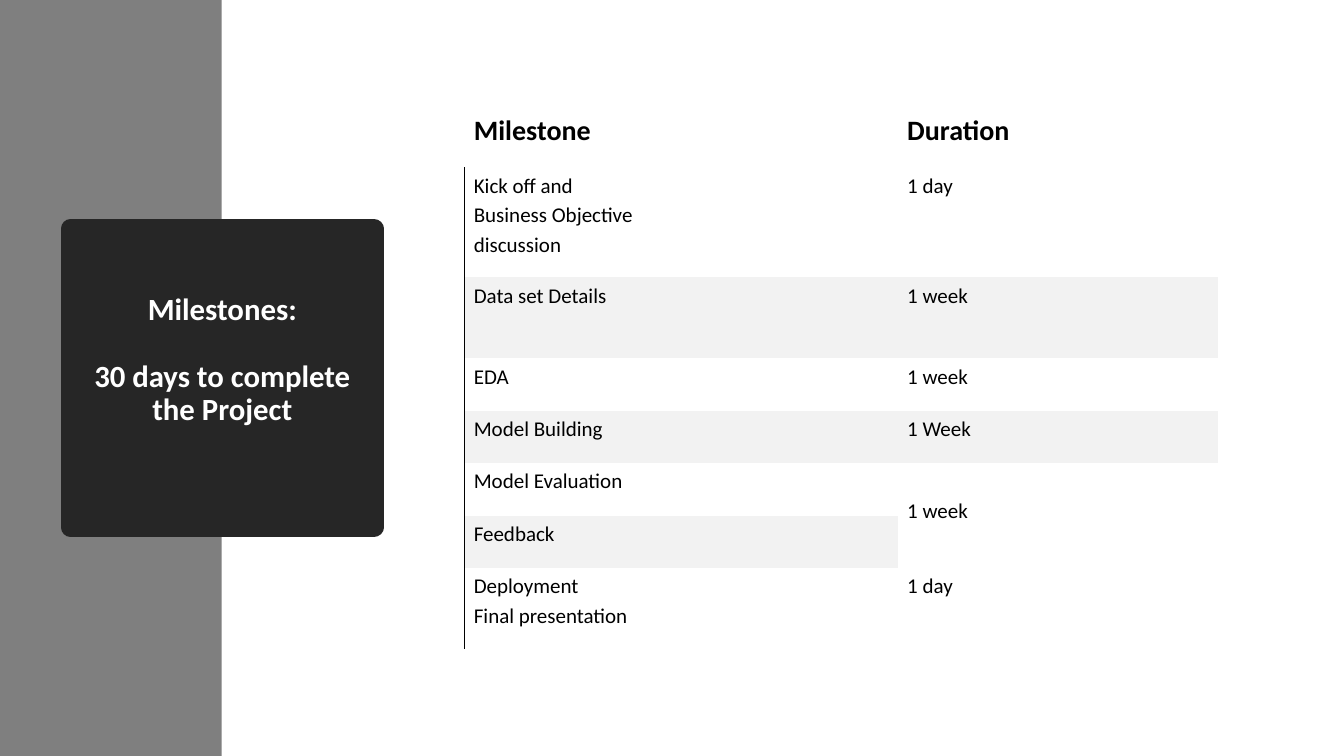
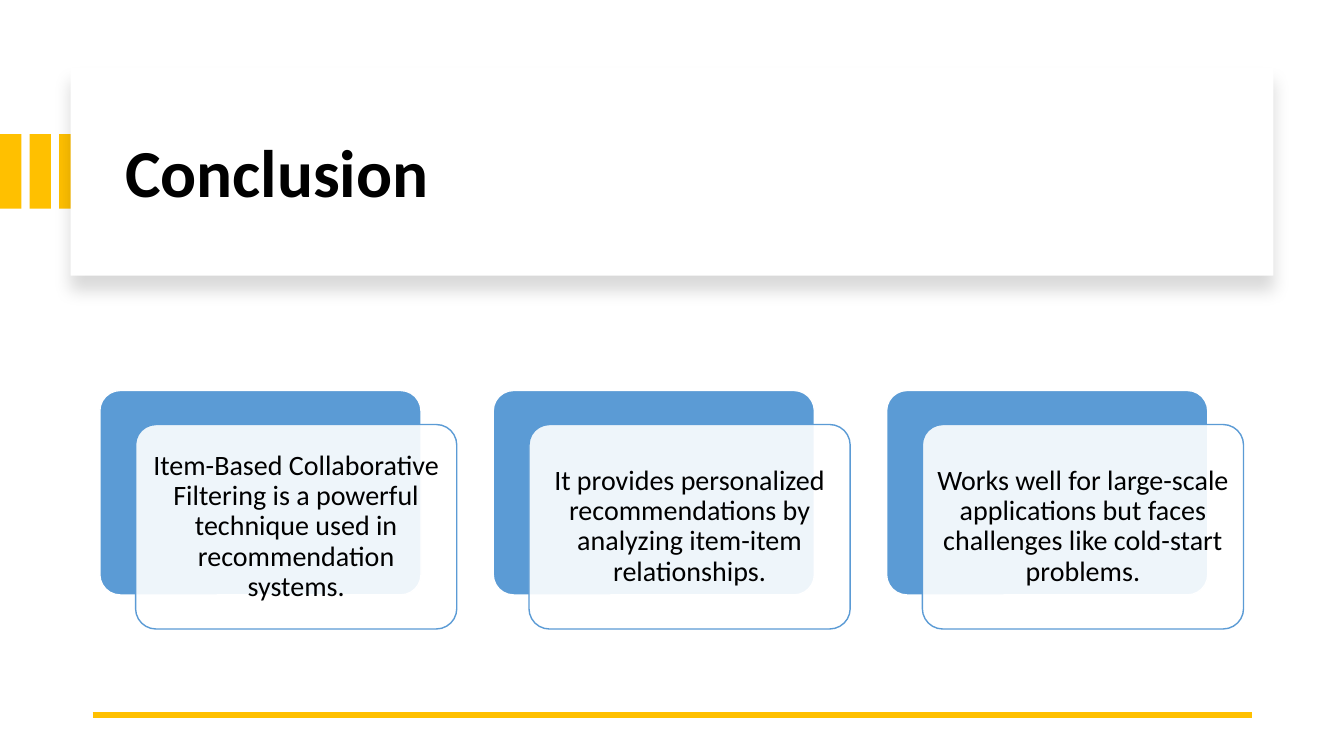
from dataclasses import dataclass

from lxml import etree
from pptx import Presentation
from pptx.dml.color import RGBColor
from pptx.enum.shapes import MSO_CONNECTOR, MSO_SHAPE
from pptx.enum.text import MSO_ANCHOR, MSO_AUTO_SIZE, PP_ALIGN
from pptx.oxml import parse_xml
from pptx.oxml.ns import nsdecls, qn
from pptx.util import Inches, Length, Pt

RECTANGLE = MSO_SHAPE.RECTANGLE
ROUNDED = MSO_SHAPE.ROUNDED_RECTANGLE
STRAIGHT = MSO_CONNECTOR.STRAIGHT
LEFT, CENTER = PP_ALIGN.LEFT, PP_ALIGN.CENTER
TOP, MIDDLE, BOTTOM = MSO_ANCHOR.TOP, MSO_ANCHOR.MIDDLE, MSO_ANCHOR.BOTTOM

SLIDE_WIDTH, SLIDE_HEIGHT = Inches(13.333), Inches(7.5)
TITLE_ONLY = 5
FONT = "Calibri"
BLACK, WHITE = "000000", "FFFFFF"
GRAY, CHARCOAL, BAND = "7F7F7F", "262626", "F2F2F2"
GOLD, BLUE = "FFC000", "5B9BD5"
NO_STYLE_TABLE = "{2D5ABB26-0587-4C30-8999-92F81FD0307C}"


def across(share: float) -> Length:
    """Length of a percentage of the slide's width."""
    return Length(round(SLIDE_WIDTH * share / 100))


def down(share: float) -> Length:
    """Length of a percentage of the slide's height."""
    return Length(round(SLIDE_HEIGHT * share / 100))


@dataclass(frozen=True)
class Box:
    """Place and size in percent of the slide's width and height."""
    left: float
    top: float
    width: float
    height: float

    def moved(self, right: float, below: float = 0) -> "Box":
        return Box(self.left + right, self.top + below, self.width, self.height)

    def lengths(self) -> tuple[Length, Length, Length, Length]:
        return (across(self.left), down(self.top),
                across(self.width), down(self.height))


@dataclass(frozen=True)
class TextStyle:
    size: float
    color: str = BLACK
    bold: bool = False
    align: PP_ALIGN = LEFT
    spacing: float = 0.9


@dataclass(frozen=True)
class Milestone:
    name: str
    duration: str
    height: float
    shaded: bool = False


CARD_TITLE = TextStyle(22, WHITE, True, CENTER)
PANEL_TITLE = TextStyle(48, bold=True)
CARD_TEXT = TextStyle(20, align=CENTER)
HEADER_TEXT = TextStyle(20, bold=True, spacing=1.15)
CELL_TEXT = TextStyle(15, spacing=1.15)

# Milestones slide
SIDE_BAND = Box(0, 0, 16.5, 100)
TITLE_CARD = Box(5.25, 30.27, 22.58, 39.47)
TABLE_LEFT, TABLE_TOP = 34.58, 14
TABLE_COLUMNS = (32.25, 23.8)
MILESTONES = (
    Milestone("Milestone", "Duration", 8.13),
    Milestone("Kick off and\nBusiness Objective\ndiscussion", "1 day", 14.55),
    Milestone("Data set Details", "1 week", 10.71, True),
    Milestone("EDA", "1 week", 6.94),
    Milestone("Model Building", "1 Week", 6.94, True),
    Milestone("Model Evaluation", "1 week", 6.94),
    Milestone("Feedback", "", 6.94, True),
    Milestone("Deployment\nFinal presentation", "1 day", 10.71),
)
SHARED_ROW = 5  # its duration also covers the row below

# Conclusion slide
STRIPE, STRIPE_PITCH, STRIPE_COUNT = Box(0, 17.75, 1.6, 9.85), 2.2, 3
PANEL = Box(5.25, 8.93, 89.5, 27.55)
PANEL_TITLE_BOX = Box(8.55, 11.87, 83.5, 22.67)
RULE_LEFT, RULE_RIGHT, RULE_TOP = 6.9, 93.15, 94.55
CARD, CARD_PITCH = Box(7.43, 51.65, 23.9, 27.05), 29.27
CARD_SHIFT = (2.66, 4.5)
CONCLUSIONS = (
    "Item-Based Collaborative Filtering is a powerful technique used in "
    "recommendation systems.",
    "It provides personalized recommendations by analyzing item-item "
    "relationships.",
    "Works well for large-scale applications but faces challenges like "
    "cold-start problems.",
)


def rgb(color: str) -> RGBColor:
    return RGBColor.from_string(color)


def write(text_frame, text: str, style: TextStyle) -> None:
    text_frame.text = text
    for paragraph in text_frame.paragraphs:
        paragraph.alignment = style.align
        paragraph.line_spacing = style.spacing
        for run in paragraph.runs:
            run.font.name = FONT
            run.font.size = Pt(style.size)
            run.font.bold = style.bold
            run.font.color.rgb = rgb(style.color)


def set_margins(frame, left: float, top: float, right: float,
                bottom: float) -> None:
    """Set the insets, in inches, of a text frame or a table cell."""
    frame.margin_left, frame.margin_top = Inches(left), Inches(top)
    frame.margin_right, frame.margin_bottom = Inches(right), Inches(bottom)


def paint(shape, fill: str, line: str = "", line_width: float = 1) -> None:
    shape.fill.solid()
    shape.fill.fore_color.rgb = rgb(fill)
    if line:
        shape.line.color.rgb = rgb(line)
        shape.line.width = Pt(line_width)
    else:
        shape.line.fill.background()


def add_box(slide, box: Box, fill: str, line: str = "", kind=RECTANGLE):
    shape = slide.shapes.add_shape(kind, *box.lengths())
    shape.shadow.inherit = False
    paint(shape, fill, line)
    if kind == ROUNDED:
        shape.adjustments[0] = 0.1
    return shape


def place_title(slide, box: Box, text: str, style: TextStyle):
    """Fill the title placeholder and bring it to the front."""
    title = slide.shapes.title
    title.left, title.top, title.width, title.height = box.lengths()
    text_frame = title.text_frame
    text_frame.auto_size = MSO_AUTO_SIZE.NONE
    text_frame.word_wrap = True
    text_frame.vertical_anchor = MIDDLE
    write(text_frame, text, style)
    title.element.getparent().append(title.element)
    return title


def set_opacity(shape, percent: int) -> None:
    color = shape.element.spPr.find(qn("a:solidFill")).find(qn("a:srgbClr"))
    etree.SubElement(color, qn("a:alpha"), val=str(percent * 1000))


def add_soft_shadow(shape) -> None:
    effects = shape.element.spPr.find(qn("a:effectLst"))
    effects.append(parse_xml(
        f'<a:outerShdw {nsdecls("a")} blurRad="{Pt(11)}" dist="{Pt(10)}" '
        f'dir="5400000" algn="t" rotWithShape="0"><a:srgbClr val="{BLACK}">'
        '<a:alpha val="15000"/></a:srgbClr></a:outerShdw>'))


def add_left_border(cell) -> None:
    properties = cell.text_frame._txBody.getparent().get_or_add_tcPr()
    properties.insert(0, parse_xml(
        f'<a:lnL {nsdecls("a")} w="{Pt(0.75)}"><a:solidFill>'
        f'<a:srgbClr val="{BLACK}"/></a:solidFill></a:lnL>'))


def fill_cell(cell, text: str, style: TextStyle, shaded: bool,
              anchor: MSO_ANCHOR) -> None:
    write(cell.text_frame, text, style)
    set_margins(cell, 0.09, 0.02, 0.12, 0.19)
    cell.vertical_anchor = anchor
    if shaded:
        cell.fill.solid()
        cell.fill.fore_color.rgb = rgb(BAND)
    else:
        cell.fill.background()


def add_milestone_table(slide) -> None:
    box = Box(TABLE_LEFT, TABLE_TOP, sum(TABLE_COLUMNS),
              sum(milestone.height for milestone in MILESTONES))
    frame = slide.shapes.add_table(len(MILESTONES), len(TABLE_COLUMNS),
                                   *box.lengths())
    next(frame.element.iter(qn("a:tableStyleId"))).text = NO_STYLE_TABLE
    table = frame.table
    for column, width in zip(table.columns, TABLE_COLUMNS):
        column.width = across(width)
    for index, milestone in enumerate(MILESTONES):
        table.rows[index].height = down(milestone.height)
        style, anchor = (CELL_TEXT, TOP) if index else (HEADER_TEXT, BOTTOM)
        name_cell, duration_cell = table.cell(index, 0), table.cell(index, 1)
        fill_cell(name_cell, milestone.name, style, milestone.shaded, anchor)
        fill_cell(duration_cell, milestone.duration, style,
                  milestone.shaded and bool(milestone.duration), anchor)
        if index:
            add_left_border(name_cell)
    shared = table.cell(SHARED_ROW, 1)
    shared.merge(table.cell(SHARED_ROW + 1, 1))
    shared.margin_top = Inches(0.31)


def build_milestones(slide) -> None:
    add_box(slide, SIDE_BAND, GRAY)
    title = place_title(slide, TITLE_CARD,
                        "Milestones:\n30 days to complete the Project",
                        CARD_TITLE)
    paint(title, CHARCOAL, CHARCOAL, 13.75)
    set_margins(title.text_frame, 0.1, 0.05, 0.1, 0.39)
    title.text_frame.paragraphs[1].space_before = Pt(24)
    add_milestone_table(slide)


def build_conclusion(slide) -> None:
    # Title panel with its stripes
    for index in range(STRIPE_COUNT):
        add_box(slide, STRIPE.moved(index * STRIPE_PITCH), GOLD)
    add_soft_shadow(add_box(slide, PANEL, WHITE))
    place_title(slide, PANEL_TITLE_BOX, "Conclusion", PANEL_TITLE)

    # Bottom rule
    rule = slide.shapes.add_connector(
        STRAIGHT, across(RULE_LEFT), down(RULE_TOP),
        across(RULE_RIGHT), down(RULE_TOP))
    rule.line.color.rgb = rgb(GOLD)
    rule.line.width = Pt(4.5)
    etree.SubElement(rule.element.spPr, qn("a:effectLst"))

    # Conclusion cards
    for index, text in enumerate(CONCLUSIONS):
        back = CARD.moved(index * CARD_PITCH)
        add_box(slide, back, BLUE, WHITE, ROUNDED)
        front = add_box(slide, back.moved(*CARD_SHIFT), WHITE, BLUE, ROUNDED)
        set_opacity(front, 90)
        text_frame = front.text_frame
        text_frame.word_wrap = True
        text_frame.vertical_anchor = MIDDLE
        set_margins(text_frame, 0.08, 0.08, 0.08, 0.08)
        write(text_frame, text, CARD_TEXT)


def main() -> None:
    presentation = Presentation()
    presentation.slide_width = SLIDE_WIDTH
    presentation.slide_height = SLIDE_HEIGHT
    layout = presentation.slide_layouts[TITLE_ONLY]
    for build in (build_milestones, build_conclusion):
        build(presentation.slides.add_slide(layout))
    presentation.save("out.pptx")


if __name__ == "__main__":
    main()
